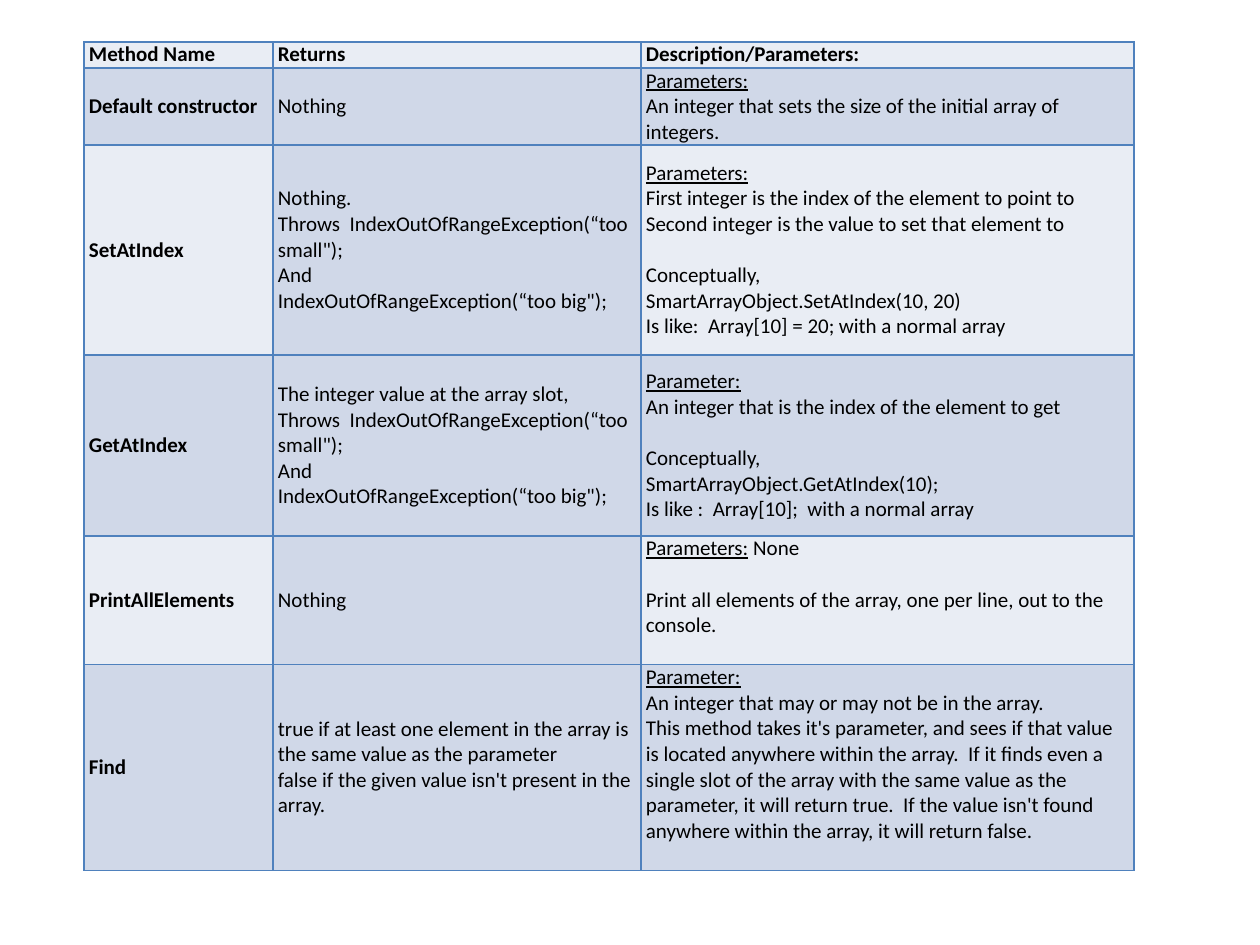
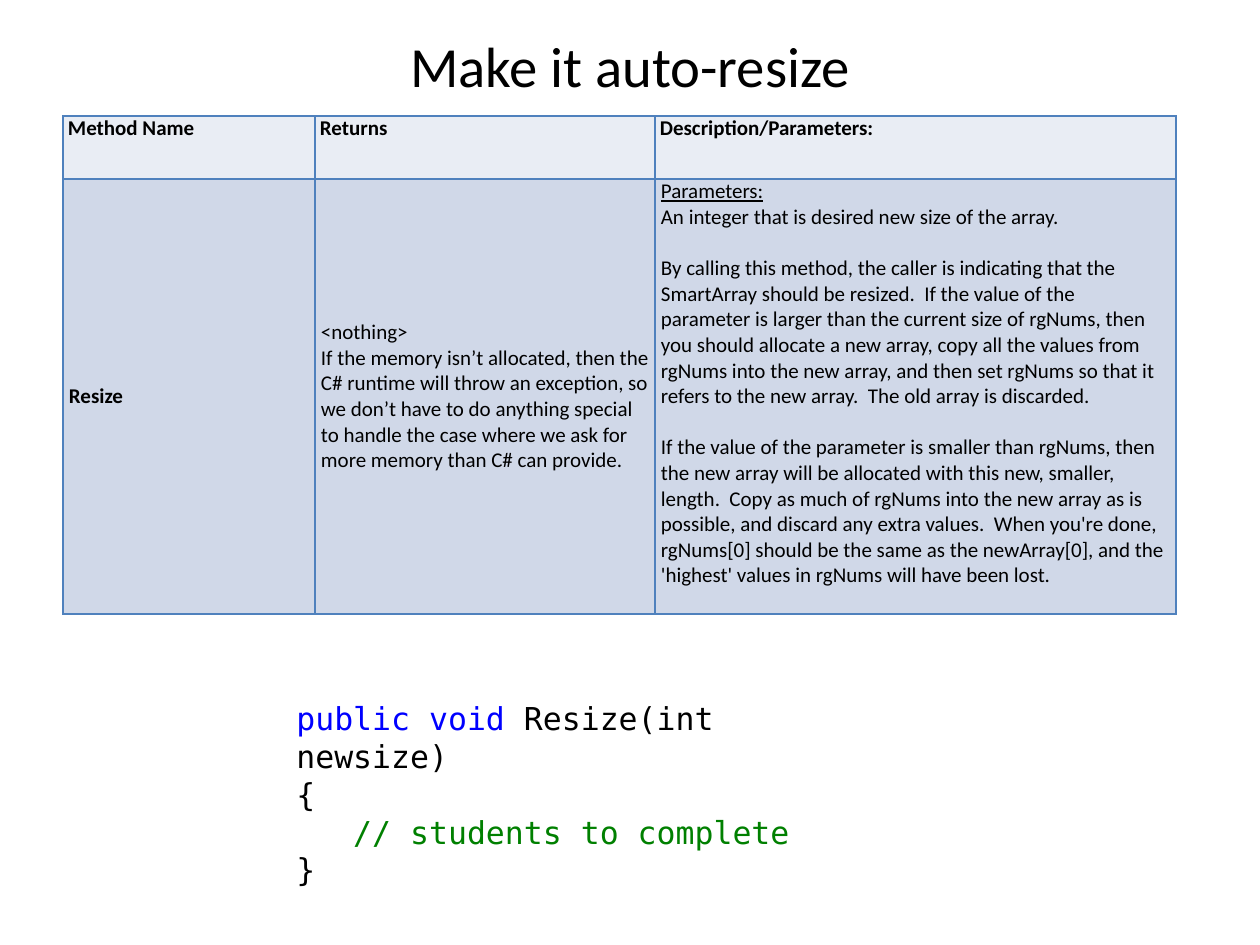
from lxml import etree
from pptx import Presentation
from pptx.dml.color import RGBColor
from pptx.enum.text import MSO_ANCHOR, PP_ALIGN
from pptx.oxml.ns import qn
from pptx.util import Pt

MIDDLE, TOP = MSO_ANCHOR.MIDDLE, MSO_ANCHOR.TOP
CENTER, LEFT = PP_ALIGN.CENTER, PP_ALIGN.LEFT

COLORS = {
    "text": "000000", "border": "4F81BD", "light": "E9EDF4", "dark": "D0D8E8",
    "keyword": "0000FF", "comment": "008000",
}
BODY_FONT, CODE_FONT = "Calibri", "DejaVu Sans Mono"
TABLE_SIZE, TITLE_SIZE, CODE_SIZE = 12, 32.4, 18
LINE_GAP_POINTS = 14.65  # one line of table text
LINE_GAP = 26            # the same line in px
TAB_STOP = 193

# Content: a cell is a list of paragraphs, and "" leaves one line free
HEADER = [["Method Name"], ["Returns"], ["Description/Parameters:"]]
RANGE_ERRORS = [
    "Throws  IndexOutOfRangeException(“too small\");",
    "And",
    "IndexOutOfRangeException(“too big\");",
]
METHODS = {
    "box": (84, 42), "columns": [189, 368, 493],
    "heights": [26, 77, 210, 181, 128, 206], "body_inset": 5,
    "rows": [
        HEADER,
        [["Default constructor"], ["Nothing"],
         ["Parameters:",
          "An integer that sets the size of the initial array of integers."]],
        [["SetAtIndex"], ["Nothing."] + RANGE_ERRORS,
         ["Parameters:",
          "First integer is the index of the element to point to",
          "Second integer is the value to set that element to",
          "",
          "Conceptually,",
          "SmartArrayObject.SetAtIndex(10, 20)",
          "Is like:  Array[10] = 20;\twith a normal array"]],
        [["GetAtIndex"],
         ["The integer value at the array slot,"] + RANGE_ERRORS,
         ["Parameter:",
          "An integer that is the index of the element to get",
          "",
          "Conceptually,",
          "SmartArrayObject.GetAtIndex(10);",
          "Is like :  Array[10];  with a normal array"]],
        [["PrintAllElements"], ["Nothing"],
         ["Parameters: None",
          "",
          "Print all elements of the array, one per line, out to the console.",
          ""]],
        [["Find"],
         ["true if at least one element in the array is the same value as the parameter",
          "false if the given value isn't present in the array."],
         ["Parameter:",
          "An integer that may or may not be in the array.",
          "This method takes it's parameter, and sees if that value is located "
          "anywhere within the array.  If it finds even a single slot of the array "
          "with the same value as the parameter, it will return true.  If the value "
          "isn't found anywhere within the array, it will return false.",
          ""]],
    ],
}
RESIZE = {
    "box": (63, 116), "columns": [252, 340, 521],
    "heights": [63, 435], "body_inset": 6,
    "rows": [
        HEADER,
        [["Resize"],
         ["<nothing>",
          "If the memory isn’t allocated, then the C# runtime will throw an "
          "exception, so we don’t have to do anything special to handle the case "
          "where we ask for more memory than C# can provide."],
         ["Parameters:",
          "An integer that is desired new size of the array.",
          "",
          "By calling this method, the caller is indicating that the SmartArray "
          "should be resized.  If the value of the parameter is larger than the "
          "current size of rgNums, then you should allocate a new array, copy all "
          "the values from rgNums into the new array, and then set rgNums so that "
          "it refers to the new array.  The old array is discarded.",
          "",
          "If the value of the parameter is smaller than rgNums, then the new array "
          "will be allocated with this new, smaller, length.  Copy as much of rgNums "
          "into the new array as is possible, and discard any extra values.  When "
          "you're done, rgNums[0] should be the same as the newArray[0], and the "
          "'highest' values in rgNums will have been lost.",
          ""]],
    ],
}
TITLE = [[("Make it auto-resize", "text")]]
CODE = [
    [("public", "keyword"), (" ", "text"), ("void", "keyword"),
     (" Resize(int newsize)", "text")],
    [("{", "text")],
    [("   ", "text"), ("// students to complete", "comment")],
    [("}", "text")],
]


def px(length):
    return round(length * 914400 / 126)


def add_run(paragraph, text, size, font=BODY_FONT, color="text",
            bold=False, underline=False):
    run = paragraph.add_run()
    run.text = text
    run.font.name, run.font.size = font, Pt(size)
    run.font.bold, run.font.underline = bold, underline
    run.font.color.rgb = RGBColor.from_string(COLORS[color])


def add_text(slide, box, lines, size, font=BODY_FONT, align=LEFT, anchor=TOP):
    frame = slide.shapes.add_textbox(*map(px, box)).text_frame
    frame.word_wrap, frame.vertical_anchor = True, anchor
    for index, line in enumerate(lines):
        paragraph = frame.add_paragraph() if index else frame.paragraphs[0]
        paragraph.alignment = align
        for text, color in line:
            add_run(paragraph, text, size, font, color)


def add_borders(cell):
    properties = cell._tc.get_or_add_tcPr()
    for side in ("lnL", "lnR", "lnT", "lnB"):
        line = etree.SubElement(properties, qn(f"a:{side}"), w=str(Pt(1)))
        fill = etree.SubElement(line, qn("a:solidFill"))
        etree.SubElement(fill, qn("a:srgbClr"), val=COLORS["border"])


def add_tab_stop(paragraph):
    properties = paragraph._p.get_or_add_pPr()
    tabs = etree.SubElement(properties, qn("a:tabLst"))
    etree.SubElement(tabs, qn("a:tab"), pos=str(px(TAB_STOP)), algn="l")


def fill_cell(cell, paragraphs, bold):
    frame = cell.text_frame
    paragraph, gap = None, False
    for text in paragraphs:
        if not text:
            gap = True
            continue
        paragraph = frame.add_paragraph() if paragraph else frame.paragraphs[0]
        if gap:
            paragraph.space_before = Pt(LINE_GAP_POINTS)
            gap = False
        if "\t" in text:
            add_tab_stop(paragraph)
        if text.startswith("Parameter"):
            label, colon, text = text.partition(":")
            add_run(paragraph, label + colon, TABLE_SIZE, underline=True)
        if text:
            add_run(paragraph, text, TABLE_SIZE, bold=bold)
    cell.margin_bottom = px(LINE_GAP) if gap else 0


def add_method_table(slide, data):
    columns, heights, rows = data["columns"], data["heights"], data["rows"]
    box = (*data["box"], sum(columns), sum(heights))
    table = slide.shapes.add_table(len(rows), len(columns), *map(px, box)).table
    table.first_row = table.horz_banding = False
    for column, width in zip(table.columns, columns):
        column.width = px(width)
    for row_index, (row, height) in enumerate(zip(rows, heights)):
        table.rows[row_index].height = px(height)
        header = row_index == 0
        for column_index, paragraphs in enumerate(row):
            cell = table.cell(row_index, column_index)
            cell.margin_left = cell.margin_right = px(5 if header else data["body_inset"])
            cell.margin_top = 0
            cell.vertical_anchor = TOP if header else MIDDLE
            fill_cell(cell, paragraphs, bold=header or column_index == 0)
            add_borders(cell)
            # Rows alternate, but the Returns column stays dark below the header
            light = header or (row_index % 2 == 0 and column_index != 1)
            cell.fill.solid()
            cell.fill.fore_color.rgb = RGBColor.from_string(
                COLORS["light" if light else "dark"])


def main():
    presentation = Presentation()
    presentation.slide_width, presentation.slide_height = px(1260), px(945)
    blank = presentation.slide_layouts[6]

    # Method overview
    add_method_table(presentation.slides.add_slide(blank), METHODS)

    # Resize method
    slide = presentation.slides.add_slide(blank)
    add_text(slide, (63, 21, 1134, 88), TITLE, TITLE_SIZE, align=CENTER, anchor=MIDDLE)
    add_method_table(slide, RESIZE)
    add_text(slide, (284, 693, 567, 203), CODE, CODE_SIZE, font=CODE_FONT)

    presentation.save("out.pptx")


if __name__ == "__main__":
    main()
